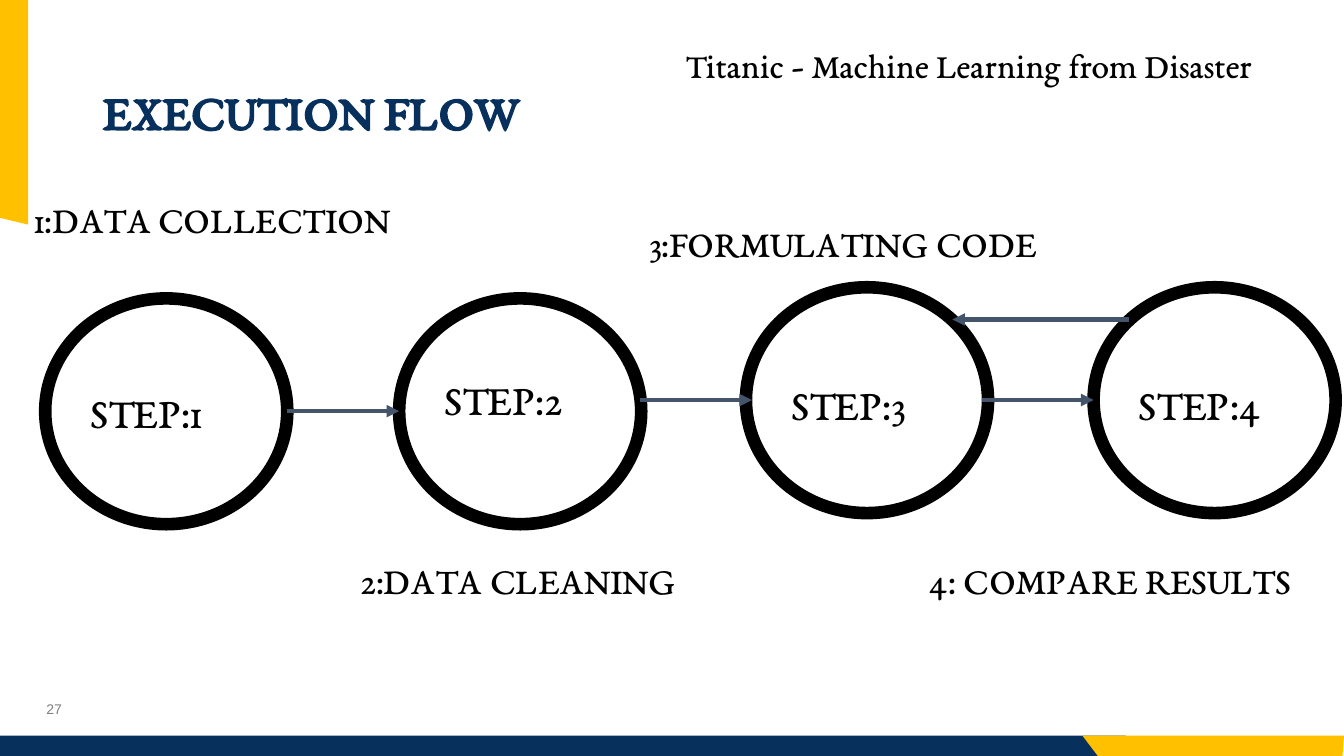
from pptx import Presentation
from pptx.dml.color import RGBColor
from pptx.enum.shapes import MSO_CONNECTOR, MSO_SHAPE
from pptx.enum.text import MSO_ANCHOR, PP_ALIGN
from pptx.oxml.ns import qn
from pptx.util import Cm, Pt
from lxml.etree import SubElement

THEME = {
    "serif": "EB Garamond",
    "sans": "Arial",
    "navy": RGBColor(0x07, 0x30, 0x5D),
    "gold": RGBColor(0xFF, 0xC0, 0x00),
    "slate": RGBColor(0x44, 0x54, 0x6A),
    "gray": RGBColor(0x7F, 0x7F, 0x7F),
    "black": RGBColor(0, 0, 0),
    "white": RGBColor(255, 255, 255),
    "title": Pt(36),
    "step": Pt(31),
    "label": Pt(27),
    "header": Pt(25),
    "number": Pt(10),
    "ring": Pt(9),
    "arrow": Pt(3),
}


def write(sp, text, size, color="black", font="serif", bold=False,
          anchor=MSO_ANCHOR.TOP, top=0.25, bottom=0.25):
    tf = sp.text_frame
    tf.word_wrap = True
    tf.vertical_anchor = anchor
    tf.margin_left = tf.margin_right = Cm(0.25)
    tf.margin_top, tf.margin_bottom = Cm(top), Cm(bottom)
    p = tf.paragraphs[0]
    p.alignment = PP_ALIGN.LEFT
    r = p.add_run()
    r.text = text
    r.font.name = THEME[font]
    r.font.size = THEME[size]
    r.font.bold = bold
    r.font.color.rgb = THEME[color]
    return p


def paint(sp, color):
    sp.shadow.inherit = False
    sp.fill.solid()
    sp.fill.fore_color.rgb = THEME[color]
    sp.line.fill.background()


prs = Presentation()
prs.slide_width, prs.slide_height = Cm(33.87), Cm(19.05)
s = prs.slides.add_slide(prs.slide_layouts[6])

footer = s.shapes.add_shape(MSO_SHAPE.RECTANGLE, Cm(0), Cm(18.54), Cm(28.37), Cm(0.53))
paint(footer, "navy")

footer_corner = [(3383, 1908), (2769, 1908), (2728, 1854), (3387, 1854)]
side_ribbon = [(0, 0), (71, 0), (71, 566), (0, 549)]
for points in (footer_corner, side_ribbon):
    builder = s.shapes.build_freeform(*points[0], scale=Cm(0.01))
    builder.add_line_segments(points[1:], close=True)
    paint(builder.convert_to_shape(), "gold")

number = s.shapes.add_textbox(Cm(0.41), Cm(17.35), Cm(1.91), Cm(1.02))
p = write(number, "27", "number", "gray", "sans", anchor=MSO_ANCHOR.MIDDLE, top=0.13, bottom=0.13)
p.alignment = PP_ALIGN.CENTER

title = s.shapes.add_textbox(Cm(2.34), Cm(1.02), Cm(29.21), Cm(3.68))
p = write(title, "EXECUTION FLOW", "title", "navy", bold=True,
          anchor=MSO_ANCHOR.MIDDLE, top=0.13, bottom=0.13)
p.line_spacing = 0.9

body = s.shapes.add_textbox(Cm(0.61), Cm(4.93), Cm(30.94), Cm(12.22))
p = write(body, "1:DATA COLLECTION", "label", top=0.13, bottom=0.13)
p.line_spacing = 0.9
p.space_before = Pt(10)

steps = [
    (1.14, 7.52, 0.25, 0.25),
    (10.06, 7.52, 0.25, 0.9),
    (18.8, 7.24, 0.4, 0.25),
    (27.56, 7.24, 0.4, 0.25),
]
for i, (x, y, top, bottom) in enumerate(steps, 1):
    circle = s.shapes.add_shape(MSO_SHAPE.OVAL, Cm(x), Cm(y), Cm(6.1), Cm(5.69))
    paint(circle, "white")
    circle.line.color.rgb = THEME["black"]
    circle.line.width = THEME["ring"]
    write(circle, f"STEP:{i}", "step", anchor=MSO_ANCHOR.MIDDLE, top=top, bottom=bottom)

arrows = [
    (7.24, 10.06, 10.36),
    (16.13, 18.95, 10.08),
    (24.74, 27.56, 10.08),
    (28.45, 24.0, 8.05),
]
for x1, x2, y in arrows:
    arrow = s.shapes.add_connector(MSO_CONNECTOR.STRAIGHT, Cm(x1), Cm(y), Cm(x2), Cm(y))
    arrow.line.color.rgb = THEME["slate"]
    arrow.line.width = THEME["arrow"]
    SubElement(arrow.line._get_or_add_ln(), qn("a:tailEnd"), type="triangle")
    SubElement(arrow._element.spPr, qn("a:effectLst"))

labels = [
    ("2:DATA CLEANING", 8.84, 13.77, 9.53),
    ("3:FORMULATING CODE", 16.13, 5.28, 12.47),
    ("4: COMPARE RESULTS", 23.14, 13.77, 12.47),
]
for text, x, y, w in labels:
    label = s.shapes.add_textbox(Cm(x), Cm(y), Cm(w), Cm(1.68))
    write(label, text, "label")

header = s.shapes.add_textbox(Cm(17.02), Cm(0.69), Cm(16.41), Cm(1.83))
p = write(header, "Titanic - Machine Learning from Disaster", "header")
p.line_spacing = 1.15

prs.save("out.pptx")
